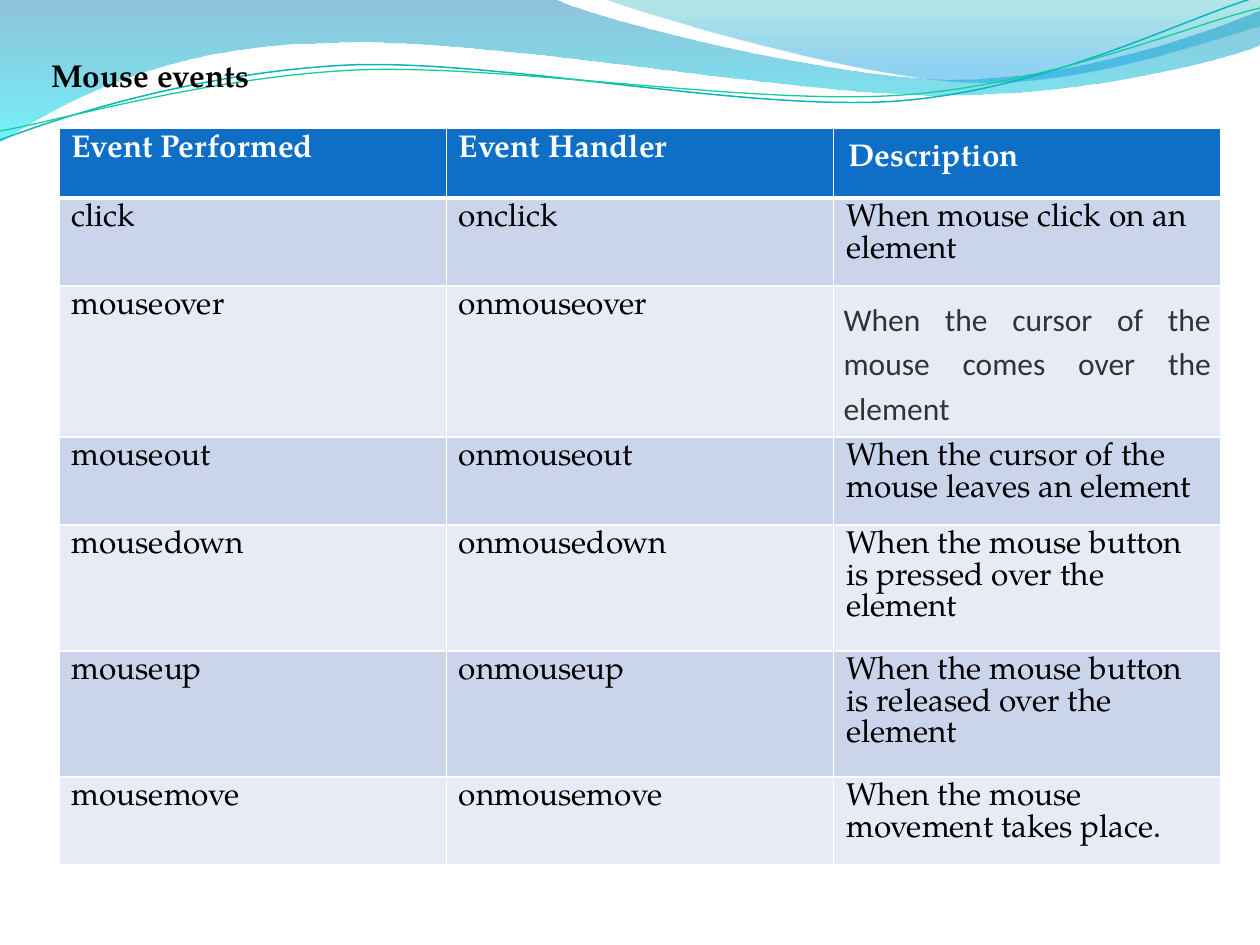
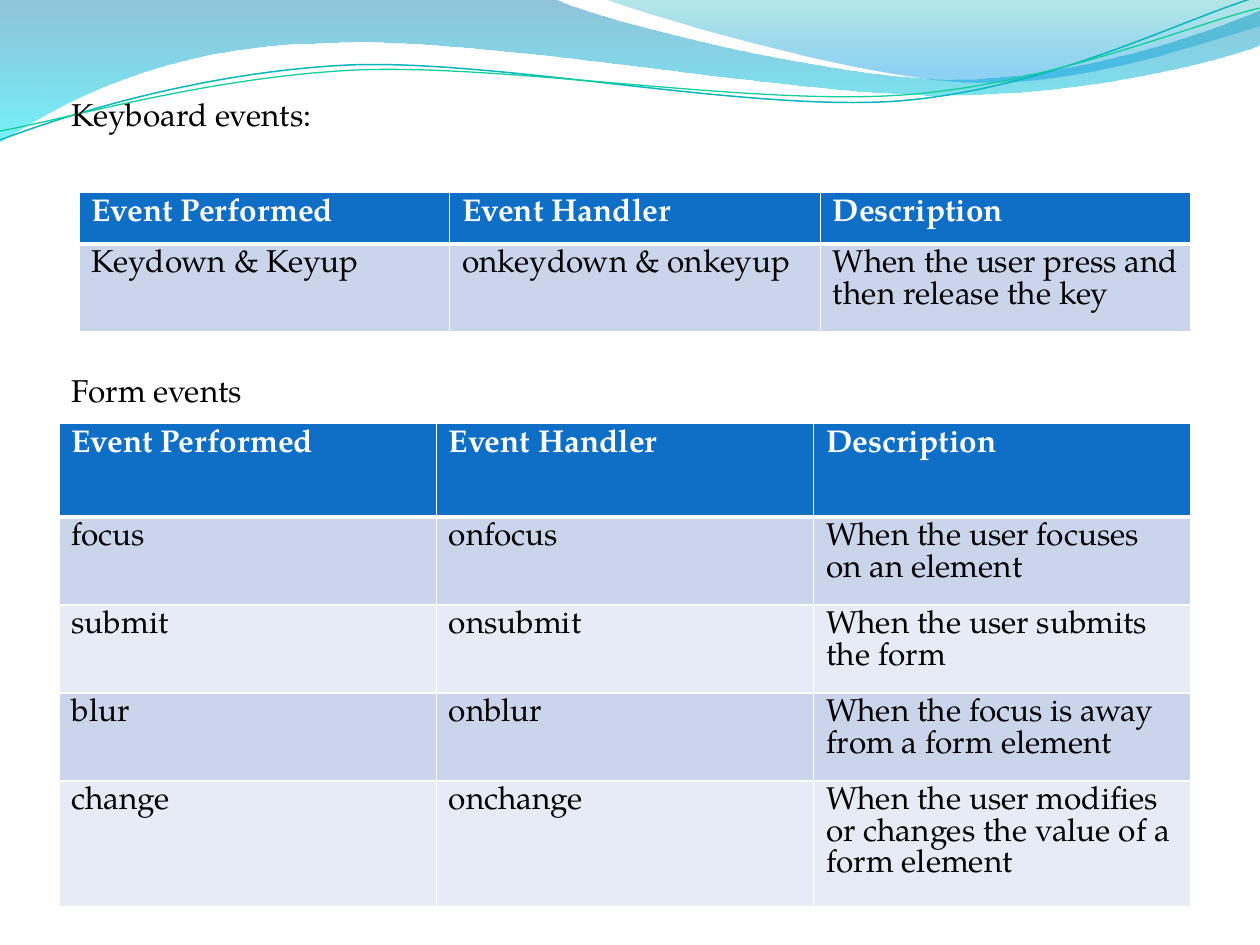
from dataclasses import dataclass
from typing import Optional, Union

from lxml.etree import SubElement
from pptx import Presentation
from pptx.dml.color import RGBColor
from pptx.enum.text import PP_ALIGN
from pptx.oxml import parse_xml
from pptx.oxml.ns import nsdecls, qn
from pptx.util import Pt

PX = 914400 / 126
SERIF, SANS = "TeX Gyre Pagella", "Calibri"
WHITE, BLACK, GREY = "FFFFFF", "000000", "333333"
HEADER_FILL, BAND_FILLS = "0F6FC6", ("CAD4EA", "E6EBF5")
TEXT_SIZE = Pt(18)
Point = tuple[int, int]


@dataclass(frozen=True)
class Stop:
    """A gradient stop: position and opacity in percent."""
    at: int
    color: str
    opacity: int


@dataclass(frozen=True)
class Wave:
    """An outline of straight (one point) and Bézier (three point) segments."""
    start: Point
    segments: tuple[tuple[Point, ...], ...]
    stops: tuple[Stop, ...] = ()
    line: str = ""
    weight: float = 0


@dataclass(frozen=True)
class Note:
    """Cell text with its own inset, optionally as justified sans body text."""
    text: str
    inset: int
    justified: bool = False


@dataclass(frozen=True)
class Heading:
    """A one-line heading above a table."""
    text: str
    left: int
    top: int
    width: int
    bold: bool = False


@dataclass(frozen=True)
class EventTable:
    """A table of events with equal columns."""
    left: int
    top: int
    width: int
    heights: tuple[int, ...]
    rows: tuple[tuple[Union[str, Note], ...], ...]


WAVES = (
    Wave((-1, -1), (
        ((554, -1),),
        ((600, 21), (837, 79), (955, 79)),
        ((1075, 79), (1207, 33), (1260, 11)),
        ((1261, 45),),
        ((1239, 55), (1096, 96), (940, 95)),
        ((784, 95), (481, 35), (324, 43)),
        ((163, 45), (58, 105), (-1, 142)),
    ), stops=(Stop(0, "0079AD", 44), Stop(100, "00E9F7", 55))),
    Wave((604, -1), (
        ((641, 14), (859, 78), (969, 82)),
        ((1079, 87), (1211, 40), (1260, 26)),
        ((1260, 0),),
    ), stops=(Stop(0, "00ABB4", 29), Stop(80, "0099E4", 44), Stop(100, "0099E4", 44))),
    Wave((0, 140), (
        ((60, 117), (199, 72), (349, 65)),
        ((498, 59), (747, 112), (898, 101)),
        ((1050, 89), (1182, 19), (1257, -3)),
    ), line="09B6BE", weight=0.85),
    Wave((0, 131), (
        ((59, 121), (207, 77), (357, 70)),
        ((508, 64), (752, 106), (903, 95)),
        ((1053, 84), (1186, 26), (1260, 8)),
    ), line="10CF9B", weight=0.75),
)

COLUMNS = ("Event Performed", "Event Handler", "Description")
MOUSE = EventTable(59, 128, 1162, (70, 88, 151, 88, 126, 126, 88), (
    (*COLUMNS[:2], Note(COLUMNS[2], 15)),
    ("click", "onclick", "When mouse click on an element"),
    ("mouseover", "onmouseover",
     Note("When the cursor of the mouse comes over the element", 10, True)),
    ("mouseout", "onmouseout", "When the cursor of the mouse leaves an element"),
    ("mousedown", "onmousedown", "When the mouse button is pressed over the element"),
    ("mouseup", "onmouseup", "When the mouse button is released over the element"),
    ("mousemove", "onmousemove", "When the mouse movement takes place."),
))
KEYBOARD = EventTable(79, 192, 1112, (52, 88), (
    COLUMNS,
    ("Keydown & Keyup", "onkeydown & onkeyup",
     "When the user press and then release the key"),
))
FORM = EventTable(59, 423, 1132, (94, 88, 88, 88, 126), (
    COLUMNS,
    ("focus", "onfocus", "When the user focuses on an element"),
    ("submit", "onsubmit", "When the user submits the form"),
    ("blur", "onblur", "When the focus is away from a form element"),
    ("change", "onchange",
     "When the user modifies or changes the value of a form element"),
))
SLIDES = (
    (Heading("Mouse events", 39, 50, 1162, bold=True), MOUSE),
    (Heading("Keyboard events:", 59, 89, 1103), KEYBOARD,
     Heading("Form events", 59, 365, 1152), FORM),
)


def emu(px: float) -> int:
    """Turn px into EMU."""
    return round(px * PX)


def rgb(color: str) -> RGBColor:
    """Turn a hex string into a colour."""
    return RGBColor.from_string(color)


def add_run(p, text: str, color: str, bold: bool = False, font: str = SERIF) -> None:
    """Add a styled run to a paragraph."""
    r = p.add_run()
    r.text = text
    r.font.name, r.font.size, r.font.bold = font, TEXT_SIZE, bold
    r.font.color.rgb = rgb(color)


def bend(sp, segments: tuple[tuple[Point, ...], ...]) -> None:
    """Join the straight pieces of each three-point segment into one curve."""
    pieces = iter(list(sp._element.iter(qn("a:lnTo"))))
    for segment in segments:
        first = next(pieces)
        if len(segment) == 3:
            curve = parse_xml(f'<a:cubicBezTo {nsdecls("a")}/>')
            first.addprevious(curve)
            for piece in (first, next(pieces), next(pieces)):
                curve.append(piece[0])
                piece.getparent().remove(piece)


def fill_gradient(sp, stops: tuple[Stop, ...]) -> None:
    """Fill a shape from top to bottom with translucent stops."""
    sp.fill.gradient()
    sp.fill.gradient_angle = 270
    stop_list = next(sp._element.iter(qn("a:gsLst")))
    for old in list(stop_list):
        stop_list.remove(old)
    for stop in stops:
        gs = SubElement(stop_list, qn("a:gs"), pos=str(stop.at * 1000))
        color = SubElement(gs, qn("a:srgbClr"), val=stop.color)
        SubElement(color, qn("a:alpha"), val=str(stop.opacity * 1000))


def add_wave(s, wave: Wave) -> None:
    """Draw a filled wave or a wavy line."""
    builder = s.shapes.build_freeform(*wave.start, scale=PX)
    points = [point for segment in wave.segments for point in segment]
    builder.add_line_segments(points, close=bool(wave.stops))
    sp = builder.convert_to_shape()
    bend(sp, wave.segments)
    sp.shadow.inherit = False
    if wave.stops:
        fill_gradient(sp, wave.stops)
        sp.line.fill.background()
    else:
        sp.fill.background()
        sp.line.color.rgb = rgb(wave.line)
        sp.line.width = Pt(wave.weight)


def add_heading(s, heading: Heading) -> None:
    """Add a heading text box."""
    sp = s.shapes.add_textbox(emu(heading.left), emu(heading.top),
                              emu(heading.width), emu(89))
    tf = sp.text_frame
    tf.word_wrap = True
    add_run(tf.paragraphs[0], heading.text, BLACK, heading.bold)


def set_borders(cell, top: int, bottom: int) -> None:
    """Give a cell white borders, one point wide at the sides."""
    tc_pr = cell._tc.get_or_add_tcPr()
    for i, (side, width) in enumerate((("L", 1), ("R", 1), ("T", top), ("B", bottom))):
        tc_pr.insert(i, parse_xml(
            f'<a:ln{side} {nsdecls("a")} w="{Pt(width)}"><a:solidFill>'
            f'<a:srgbClr val="{WHITE}"/></a:solidFill></a:ln{side}>'))


def fill_cell(cell, content: Union[str, Note], row: int) -> None:
    """Fill, frame and write one cell."""
    header = row == 0
    cell.fill.solid()
    cell.fill.fore_color.rgb = rgb(HEADER_FILL if header else BAND_FILLS[(row - 1) % 2])
    set_borders(cell, top=3 if row == 1 else 1, bottom=3 if header else 1)
    note: Optional[Note] = content if isinstance(content, Note) else None
    if note:
        cell.margin_left = cell.margin_right = emu(note.inset)
        cell.margin_top = cell.margin_bottom = emu(note.inset)
    p = cell.text_frame.paragraphs[0]
    if note and note.justified:
        p.alignment, p.line_spacing = PP_ALIGN.JUSTIFY, 1.15
        add_run(p, note.text, GREY, font=SANS)
    else:
        p.line_spacing = TEXT_SIZE
        add_run(p, note.text if note else content, WHITE if header else BLACK, header)


def add_event_table(s, events: EventTable) -> None:
    """Add a table of events."""
    frame = s.shapes.add_table(len(events.rows), len(COLUMNS), emu(events.left),
                               emu(events.top), emu(events.width),
                               emu(sum(events.heights)))
    table = frame.table
    table.first_row = table.horz_banding = False
    for i, (height, row) in enumerate(zip(events.heights, events.rows)):
        table.rows[i].height = emu(height)
        for j, content in enumerate(row):
            fill_cell(table.cell(i, j), content, i)


def main() -> None:
    """Build and save the slides."""
    prs = Presentation()
    prs.slide_width, prs.slide_height = emu(1260), emu(945)
    for items in SLIDES:
        s = prs.slides.add_slide(prs.slide_layouts[6])
        for wave in WAVES:
            add_wave(s, wave)
        for item in items:
            if isinstance(item, Heading):
                add_heading(s, item)
            else:
                add_event_table(s, item)
    prs.save("out.pptx")


if __name__ == "__main__":
    main()
